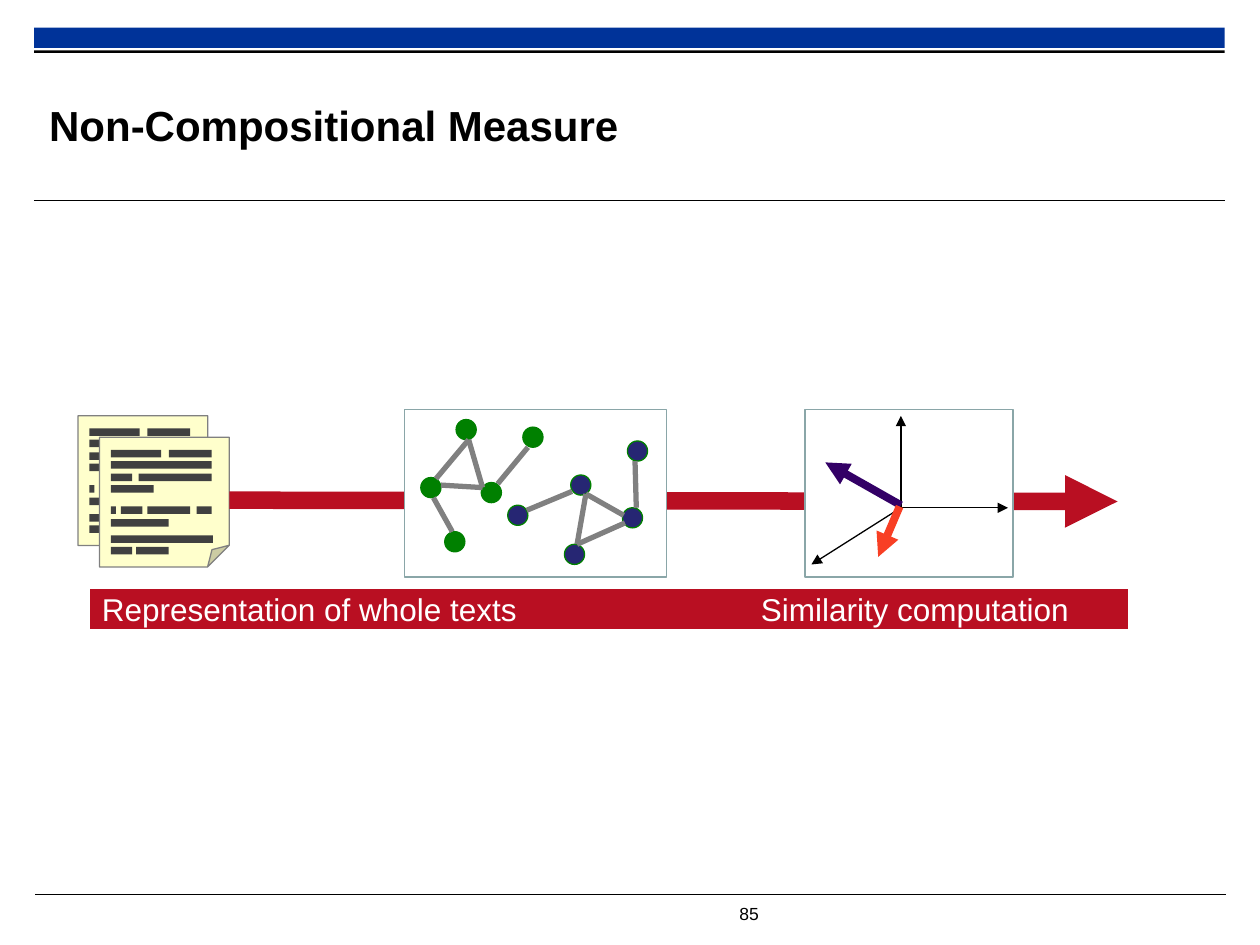
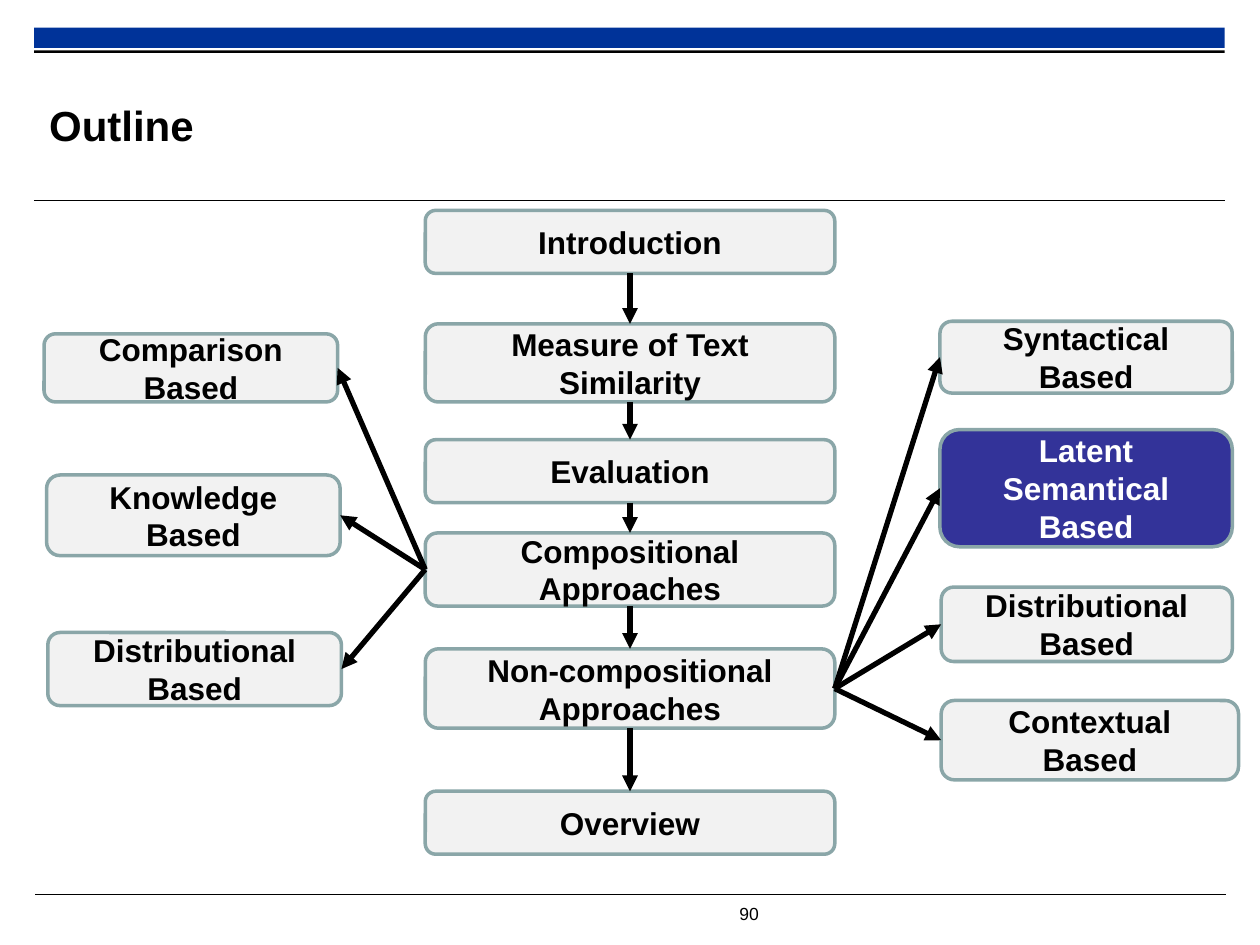
"""Build two lecture slides: a non-compositional measure diagram and a talk outline."""
from lxml.etree import SubElement
from pptx import Presentation
from pptx.dml.color import RGBColor
from pptx.enum.shapes import MSO_CONNECTOR, MSO_SHAPE
from pptx.enum.text import MSO_ANCHOR, MSO_AUTO_SIZE, PP_ALIGN
from pptx.oxml.ns import qn
from pptx.util import Inches, Pt

COLORS = {
    "black": "000000", "white": "FFFFFF", "band": "003399", "red": "B90F22",
    "frame": "8AA6A8", "paper": "FFFFCC", "gray": "808080", "ink": "404040",
    "green": "008000", "navy": "262673", "purple": "330066", "orange": "F83F24",
    "panel": "F2F2F2", "highlight": "333399",
}
TITLE_FONT = {"name": "Arial", "size": Pt(24), "bold": True}
LABEL_FONT = {"name": "Arial", "size": Pt(18), "bold": True}
BANNER_FONT = {"name": "Arial", "size": Pt(18), "bold": False}
NUMBER_FONT = {"name": "Arial", "size": Pt(10), "bold": False}

BANDS = [(0.27, 0.22, 9.45, 0.16, "band"), (0.27, 0.4, 9.45, 0.02, "black")]
RULES = [((0.27, 1.59), (9.72, 1.59)), ((0.28, 7.1), (9.73, 7.1))]

PAGE_SIZE = 1.03
PAGE_CORNERS = [(0.62, 3.3), (0.79, 3.47)]
WORD_HEIGHT = 0.06
WORD_ROWS = [
    (0.1, [(0.09, 0.4), (0.55, 0.34)]),
    (0.19, [(0.09, 0.8)]),
    (0.29, [(0.09, 0.17), (0.31, 0.58)]),
    (0.38, [(0.09, 0.34)]),
    (0.55, [(0.09, 0.04), (0.17, 0.17), (0.38, 0.34), (0.77, 0.12)]),
    (0.65, [(0.09, 0.46)]),
    (0.78, [(0.09, 0.81)]),
    (0.87, [(0.09, 0.17), (0.29, 0.26)]),
]
FLOW = ((1.82, 3.97), (8.87, 3.98))
BANNER = (0.71, 4.67, 8.25, 0.33)
BANNER_TEXT = "Representation of whole texts\tSimilarity computation"
BANNER_TAB = 5.23

VECTOR_FRAME = (6.39, 3.25, 1.65, 1.33)
VECTORS = [
    ((7.16, 4.03), (8, 4.03), "black", 0.75),
    ((7.15, 4.03), (6.44, 4.48), "black", 0.75),
    ((7.15, 4.03), (7.15, 3.3), "black", 0.75),
    ((7.15, 4.01), (6.55, 3.67), "purple", 4.5),
    ((7.14, 4.02), (6.97, 4.42), "orange", 4.5),
]
GRAPH_FRAME = (3.21, 3.25, 2.08, 1.33)
NODE_SIZE = 0.16
GRAPHS = [
    ("green",
     [(4.15, 3.39), (3.82, 3.83), (3.62, 3.33), (3.34, 3.79), (3.53, 4.22)],
     [((4.19, 3.55), (3.95, 3.84)), ((3.5, 3.85), (3.83, 3.87)),
      ((3.59, 4.22), (3.44, 3.95)), ((3.72, 3.49), (3.46, 3.8)),
      ((3.72, 3.49), (3.83, 3.87))]),
    ("navy",
     [(4.03, 4.01), (4.53, 3.77), (4.48, 4.32), (4.94, 4.03), (4.98, 3.5)],
     [((4.18, 4.05), (4.54, 3.9)), ((4.95, 4.09), (4.65, 3.92)),
      ((5.04, 3.66), (5.05, 4.03)), ((4.58, 4.32), (4.96, 4.15)),
      ((4.58, 4.32), (4.65, 3.92))]),
]

STEP_LEFT, STEP_WIDTH = 3.375, 3.25
STEPS = [
    ("Introduction", 1.67, 0.5),
    ("Measure of Text Similarity", 2.57, 0.62),
    ("Evaluation", 3.49, 0.5),
    ("Compositional Approaches", 4.23, 0.58),
    ("Non-compositional Approaches", 5.15, 0.63),
    ("Overview", 6.28, 0.5),
]
COMPOSITIONAL = [
    ("Comparison Based", (0.35, 2.65, 2.33, 0.54)),
    ("Knowledge Based", (0.37, 3.77, 2.33, 0.64)),
    ("Distributional Based", (0.38, 5.02, 2.33, 0.58)),
]
NON_COMPOSITIONAL = [
    ("Syntactical Based", (7.46, 2.55, 2.32, 0.57)),
    ("Latent Semantical Based", (7.46, 3.41, 2.32, 0.93)),
    ("Distributional Based", (7.47, 4.66, 2.31, 0.59)),
    ("Contextual Based", (7.47, 5.56, 2.36, 0.63)),
]
CURRENT_TOPIC = "Latent Semantical Based"
TOP, LEFT, BOTTOM, RIGHT = range(4)


def rgb(color):
    return RGBColor.from_string(COLORS[color])


def write(frame, text, values, color="black", align=PP_ALIGN.LEFT, tab=None):
    frame.word_wrap = True
    para = frame.paragraphs[0]
    para.alignment = align
    if tab is not None:
        stops = SubElement(para._p.get_or_add_pPr(), qn("a:tabLst"))
        SubElement(stops, qn("a:tab"), pos=str(Inches(tab)), algn="l")
    span = para.add_run()
    span.text = text
    for name, value in values.items():
        setattr(span.font, name, value)
    span.font.color.rgb = rgb(color)


def add_box(page, kind, place, fill, line=None, width=0.75):
    box = page.shapes.add_shape(kind, *map(Inches, place))
    box.shadow.inherit = False
    box.fill.solid()
    box.fill.fore_color.rgb = rgb(fill)
    if line:
        box.line.color.rgb = rgb(line)
        box.line.width = Pt(width)
    else:
        box.line.fill.background()
    return box


def add_line(page, start, end, color, width, arrow=False):
    line = page.shapes.add_connector(
        MSO_CONNECTOR.STRAIGHT, *map(Inches, (*start, *end)))
    line.line.color.rgb = rgb(color)
    line.line.width = Pt(width)
    if arrow:
        SubElement(line.line._get_or_add_ln(), qn("a:tailEnd"), type="triangle")
    SubElement(line._element.spPr, qn("a:effectLst"))
    return line


def link(page, source, source_side, target, target_side):
    line = add_line(page, (0, 0), (1, 1), "black", 3, arrow=True)
    line.begin_connect(source, source_side)
    line.end_connect(target, target_side)


def add_page(deck, title, number):
    page = deck.slides.add_slide(deck.slide_layouts[5])
    for *place, color in BANDS:
        add_box(page, MSO_SHAPE.RECTANGLE, place, color)
    for start, end in RULES:
        add_line(page, start, end, "black", 0.6)
    number_box = page.shapes.add_textbox(*map(Inches, (5.77, 7.12, 0.48, 0.27)))
    write(number_box.text_frame, number, NUMBER_FONT)

    heading = page.shapes.title
    heading.left, heading.top, heading.width, heading.height = map(
        Inches, (0.39, 0.53, 7.11, 0.92))
    frame = heading.text_frame
    settings = {"margin_left": 0, "margin_top": 0, "margin_right": 0,
                "margin_bottom": 0, "vertical_anchor": MSO_ANCHOR.MIDDLE,
                "auto_size": MSO_AUTO_SIZE.NONE}
    for name, value in settings.items():
        setattr(frame, name, value)
    write(frame, title, TITLE_FONT)
    return page


def add_document(page, left, top):
    add_box(page, MSO_SHAPE.FOLDED_CORNER, (left, top, PAGE_SIZE, PAGE_SIZE),
            "paper", "gray")
    for down, words in WORD_ROWS:
        for across, width in words:
            place = (left + across, top + down, width, WORD_HEIGHT)
            add_box(page, MSO_SHAPE.RECTANGLE, place, "ink")


def add_measure_page(deck):
    page = add_page(deck, "Non-Compositional Measure", "85")
    for left, top in PAGE_CORNERS:
        add_document(page, left, top)
    add_line(page, *FLOW, "red", 10, arrow=True)
    banner = add_box(page, MSO_SHAPE.RECTANGLE, BANNER, "red", "white")
    banner.text_frame.vertical_anchor = MSO_ANCHOR.MIDDLE
    write(banner.text_frame, BANNER_TEXT, BANNER_FONT, "white", tab=BANNER_TAB)

    add_box(page, MSO_SHAPE.RECTANGLE, VECTOR_FRAME, "white", "frame", 1)
    for start, end, color, width in VECTORS:
        add_line(page, start, end, color, width, arrow=True)

    add_box(page, MSO_SHAPE.RECTANGLE, GRAPH_FRAME, "white", "frame", 1)
    for color, nodes, edges in GRAPHS:
        for left, top in nodes:
            add_box(page, MSO_SHAPE.OVAL, (left, top, NODE_SIZE, NODE_SIZE),
                    color, "green")
        for start, end in edges:
            add_line(page, start, end, "gray", 3)


def add_topic(page, text, place):
    current = text == CURRENT_TOPIC
    box = add_box(page, MSO_SHAPE.ROUNDED_RECTANGLE, place,
                  "highlight" if current else "panel", "frame", 2)
    box.text_frame.vertical_anchor = MSO_ANCHOR.MIDDLE
    write(box.text_frame, text, LABEL_FONT, "white" if current else "black",
          PP_ALIGN.CENTER)
    return box


def add_outline_page(deck):
    page = add_page(deck, "Outline", "90")
    steps = {text: add_topic(page, text, (STEP_LEFT, top, STEP_WIDTH, height))
             for text, top, height in STEPS}
    boxes = list(steps.values())
    for upper, lower in zip(boxes, boxes[1:]):
        link(page, upper, BOTTOM, lower, TOP)
    branches = [("Compositional Approaches", COMPOSITIONAL, LEFT, RIGHT),
                ("Non-compositional Approaches", NON_COMPOSITIONAL, RIGHT, LEFT)]
    for step, topics, step_side, topic_side in branches:
        for text, place in topics:
            topic = add_topic(page, text, place)
            link(page, steps[step], step_side, topic, topic_side)


def main():
    deck = Presentation()
    deck.slide_width, deck.slide_height = Inches(10), Inches(7.5)
    add_measure_page(deck)
    add_outline_page(deck)
    deck.save("out.pptx")


if __name__ == "__main__":
    main()
